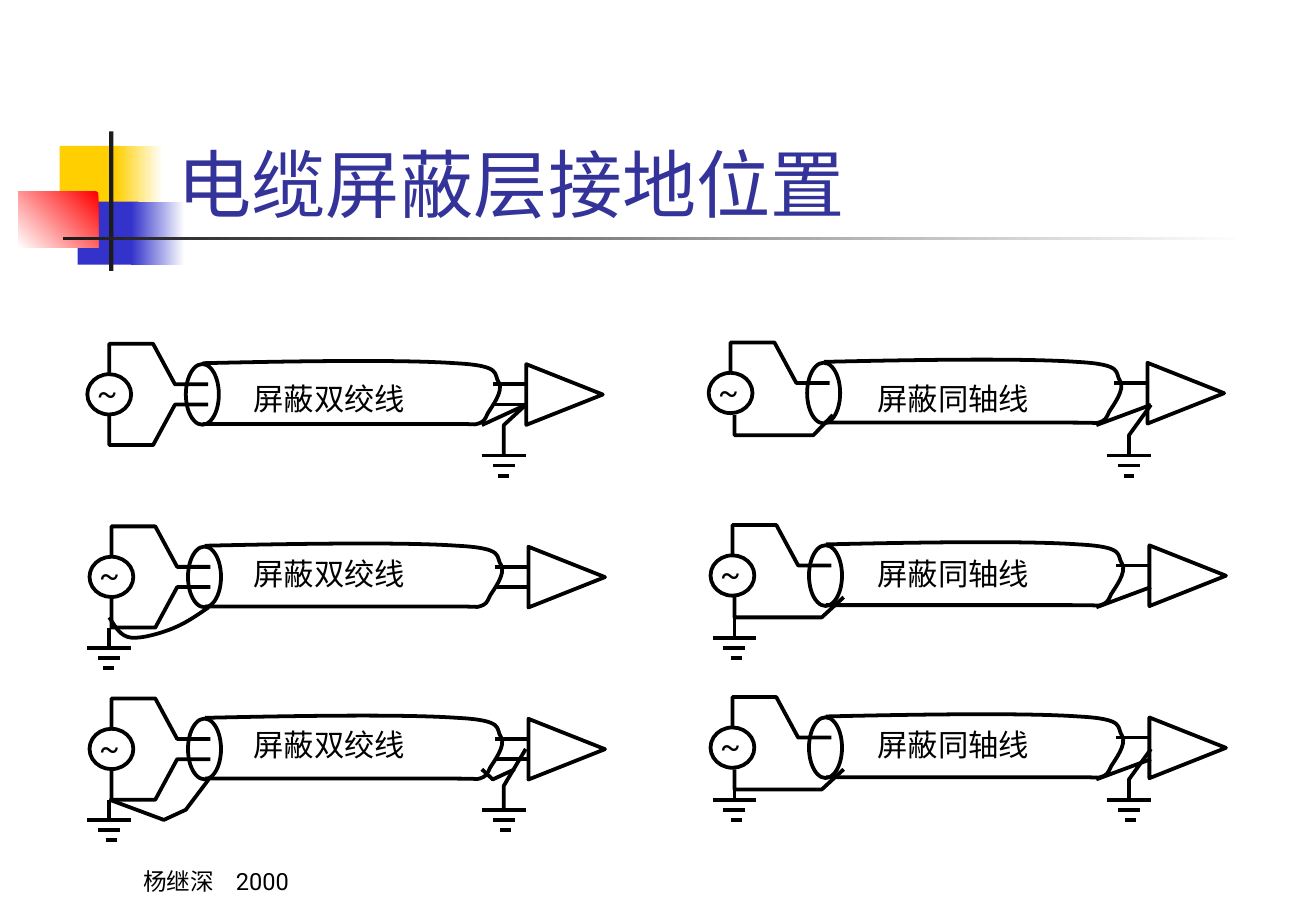
"""Build the slide on where to ground a cable shield."""
from dataclasses import dataclass
from typing import Optional

from lxml.etree import SubElement
from pptx import Presentation
from pptx.dml.color import RGBColor
from pptx.enum.shapes import MSO_CONNECTOR as Connector, MSO_SHAPE as Preset
from pptx.enum.text import MSO_ANCHOR as Anchor, MSO_AUTO_SIZE as AutoSize, PP_ALIGN as Align
from pptx.oxml.ns import qn
from pptx.util import Pt

COLORS = {"ink": "000000", "title": "333399", "yellow": "FFCF01", "blue": "3333CC",
          "red": "FF0000", "dark": "1C1C1C", "white": "FFFFFF"}
FONT = "Roboto"
LINE_WIDTH = 2.25
YEAR_TAB = 55
Points = list[tuple[float, float]]


@dataclass
class Block:
    left: float
    top: float
    width: float
    height: float
    color: str
    end_color: Optional[str] = None
    angle: float = 180


@dataclass
class Cable:
    left: float
    top: float
    label: str
    label_left: float
    label_top: float
    twisted: bool


@dataclass
class Ground:
    center: float
    top: float
    stem: float = 0
    tip_shift: float = 1.1


@dataclass
class Trace:
    points: Points
    curved: bool = False


BLOCKS = [
    Block(35.3, 86.4, 37.4, 37.4, "yellow"),
    Block(68.4, 86.4, 28.1, 37.4, "white", "yellow"),
    Block(46.1, 119.5, 36, 37.4, "blue"),
    Block(77.8, 119.5, 31.7, 37.4, "white", "blue"),
    Block(10.8, 113.8, 47.5, 33.1, "red", "white", 225),
    Block(64.8, 77.8, 2.5, 82.8, "dark"),
    Block(37.4, 140.4, 702, 2.2, "white", "dark"),
]
PAIR, COAXIAL = "屏蔽双绞线", "屏蔽同轴线"
CABLES = [
    Cable(64.8, 203.8, PAIR, 143.3, 221.8, True),
    Cable(433.3, 203, COAXIAL, 513.4, 221.8, False),
    Cable(66.1, 312, PAIR, 143.3, 325.4, True),
    Cable(434.4, 311.2, COAXIAL, 513.4, 325.4, False),
    Cable(66.1, 414, PAIR, 143.3, 427, True),
    Cable(434.4, 413.2, COAXIAL, 513.4, 427, False),
]
GROUNDS = [
    Ground(298.8, 270, tip_shift=0), Ground(669.6, 270, tip_shift=0),
    Ground(64.8, 384, 12, -0.4), Ground(435.6, 378, 12),
    Ground(64.8, 486, 12), Ground(298.8, 480),
    Ground(435.6, 474, 12), Ground(669.6, 474),
]
TUBE = [(55.4, 11.5), (115.9, 10.1), (175.7, 9.4), (205.2, 11.5), (234, 13), (227.5, 18),
        (231.1, 23), (234, 28.1), (226.8, 37.4), (224.6, 41), (222.5, 45.4), (222.5, 46.1),
        (218.2, 47.5), (213.8, 48.2), (225.4, 47.5), (198.7, 47.5), (171.4, 47.5),
        (113.8, 47.5), (55.4, 47.5)]
LEAD = [(0, 18), (0, 0), (26, 0), (39, 24), (58.7, 24)]
LEAD_AXIS = 30
SHIELD_TRACES = [
    Trace([(435.6, 246), (435.6, 258), (482.4, 258), (493.9, 246)]),
    *(Trace([(435.6, top), (435.6, top + 12), (487.4, top + 12), (500.4, top)])
      for top in (354, 456)),
    Trace([(311.8, 240), (298.8, 252), (298.8, 270)]),
    Trace([(682.6, 240), (669.6, 258), (669.6, 270)]),
    Trace([(311.8, 444), (298.8, 465.8), (298.8, 480)]),
    Trace([(682.6, 444), (669.6, 462), (669.6, 474)]),
    Trace([(285.8, 252), (285.8, 252), (298.8, 246), (311.8, 240)], True),
    Trace([(123.8, 360), (117.4, 364.3), (111.6, 368.6), (103.7, 372), (96.5, 375.1),
           (84.2, 378.7), (77.8, 378), (71.3, 377.3), (68.4, 371.5), (64.8, 366)], True),
    Trace([(123.8, 462), (110.2, 480), (97.2, 486), (64.8, 474)]),
    Trace([(285.8, 456), (292.3, 462), (305.3, 456)]),
]


def rgb(name: str) -> RGBColor:
    """Look up a named colour."""
    return RGBColor.from_string(COLORS[name])


def outline(shape) -> None:
    """Leave a shape empty with a black edge."""
    shape.shadow.inherit = False
    shape.fill.background()
    shape.line.color.rgb = rgb("ink")
    shape.line.width = Pt(LINE_WIDTH)


def draw_block(slide, block: Block) -> None:
    """Put a plain or fading rectangle behind the title."""
    shape = slide.shapes.add_shape(Preset.RECTANGLE, Pt(block.left), Pt(block.top),
                                   Pt(block.width), Pt(block.height))
    shape.shadow.inherit = False
    shape.line.fill.background()
    if block.end_color:
        shape.fill.gradient()
        shape.fill.gradient_angle = block.angle
        for stop, name in zip(shape.fill.gradient_stops, (block.color, block.end_color)):
            stop.color.rgb = rgb(name)
    else:
        shape.fill.solid()
        shape.fill.fore_color.rgb = rgb(block.color)
    slide.shapes.title.element.addprevious(shape.element)


def draw_preset(slide, preset: Preset, left: float, top: float, width: float, height: float,
                rotation: float = 0) -> None:
    """Draw an outlined preset shape."""
    shape = slide.shapes.add_shape(preset, Pt(left), Pt(top), Pt(width), Pt(height))
    shape.rotation = rotation
    outline(shape)


def draw_wire(slide, x1: float, y1: float, x2: float, y2: float) -> None:
    """Draw a straight wire."""
    wire = slide.shapes.add_connector(Connector.STRAIGHT, Pt(x1), Pt(y1), Pt(x2), Pt(y2))
    wire.line.color.rgb = rgb("ink")
    wire.line.width = Pt(LINE_WIDTH)
    SubElement(wire.element.spPr, qn("a:effectLst"))


def draw_trace(slide, trace: Trace, left: float = 0, top: float = 0) -> None:
    """Draw an open outline, taking points as Bézier controls if curved."""
    start, *rest = [(Pt(left + x), Pt(top + y)) for x, y in trace.points]
    builder = slide.shapes.build_freeform(*start)
    builder.add_line_segments(rest, close=False)
    shape = builder.convert_to_shape()
    outline(shape)
    if trace.curved:
        segments = list(shape.element.iter(qn("a:lnTo")))
        for index in range(0, len(segments), 3):
            curve = segments[index]
            curve.tag = qn("a:cubicBezTo")
            for segment in segments[index + 1:index + 3]:
                curve.append(segment[0])
                segment.getparent().remove(segment)


def write(shape, text: str, size: float, color: str = "ink", space_before: float = 0,
          anchor: Anchor = Anchor.TOP, auto_size: AutoSize = AutoSize.NONE) -> None:
    """Write one left-aligned run into a shape."""
    frame = shape.text_frame
    frame.word_wrap = True
    frame.auto_size = auto_size
    frame.vertical_anchor = anchor
    paragraph = frame.paragraphs[0]
    paragraph.alignment = Align.LEFT
    paragraph.space_before = Pt(space_before)
    run = paragraph.add_run()
    run.text = text
    run.font.name = FONT
    run.font.size = Pt(size)
    run.font.color.rgb = rgb(color)


def draw_label(slide, text: str, left: float, top: float, width: float) -> None:
    """Add a diagram label."""
    label = slide.shapes.add_textbox(Pt(left), Pt(top), Pt(width), Pt(28.8))
    write(label, text, 18, space_before=11.2, auto_size=AutoSize.SHAPE_TO_FIT_TEXT)


def draw_cable(slide, cable: Cable) -> None:
    """Draw a source, its shielded cable and the amplifier."""
    left, top = cable.left, cable.top
    draw_preset(slide, Preset.OVAL, left + 45.4, top + 12, 19.6, 36)
    draw_trace(slide, Trace(TUBE, True), left, top)
    draw_preset(slide, Preset.OVAL, left - 13, top + 18, 26, 23.9)
    draw_preset(slide, Preset.ISOSCELES_TRIANGLE, left + 252, top + 7.4, 36, 45.4, 90)
    leads = [LEAD]
    if cable.twisted:
        leads.append([(x, 2 * LEAD_AXIS - y) for x, y in LEAD])
    for lead in leads:
        draw_trace(slide, Trace(lead), left, top)
        height = top + lead[-1][1]
        draw_wire(slide, left + 227.5, height, left + 247, height)
    draw_label(slide, "~", left - 14.4, top + 14.4, 38.9)
    draw_label(slide, cable.label, cable.label_left, cable.label_top, 136.8)


def draw_ground(slide, ground: Ground) -> None:
    """Draw a ground symbol of three shrinking bars."""
    for index, half in enumerate((13, 6.5, 3.25)):
        center = ground.center + (ground.tip_shift if index == 2 else 0)
        height = ground.top + 6 * index
        draw_wire(slide, center - half, height, center + half, height)
    if ground.stem:
        draw_wire(slide, ground.center, ground.top - ground.stem, ground.center, ground.top)


def draw_author(slide) -> None:
    """Add the author and year, set apart by a tab stop."""
    author = slide.shapes.add_textbox(Pt(77.8), Pt(498.2), Pt(162.7), Pt(36))
    write(author, "杨继深\t2000", 14, anchor=Anchor.BOTTOM)
    for properties in author.element.iter(qn("a:pPr")):
        tabs = SubElement(properties, qn("a:tabLst"))
        SubElement(tabs, qn("a:tab"), pos=str(Pt(YEAR_TAB)), algn="l")


def main() -> None:
    """Assemble and save the slide."""
    presentation = Presentation()
    presentation.slide_width = Pt(780.48)
    presentation.slide_height = Pt(540)
    slide = presentation.slides.add_slide(presentation.slide_layouts[5])
    title = slide.shapes.title
    title.left, title.top, title.width, title.height = Pt(97.9), Pt(48.2), Pt(664.6), Pt(90)
    write(title, "电缆屏蔽层接地位置", 44, "title", anchor=Anchor.BOTTOM)
    for block in BLOCKS:
        draw_block(slide, block)
    for cable in CABLES:
        draw_cable(slide, cable)
    for trace in SHIELD_TRACES:
        draw_trace(slide, trace)
    for top in (240, 348, 450):
        draw_wire(slide, 650.2, top + 12, 682.6, top)
    draw_wire(slide, 110.2, 437.8, 123.8, 437.8)
    for ground in GROUNDS:
        draw_ground(slide, ground)
    draw_author(slide)
    presentation.save("out.pptx")


if __name__ == "__main__":
    main()
